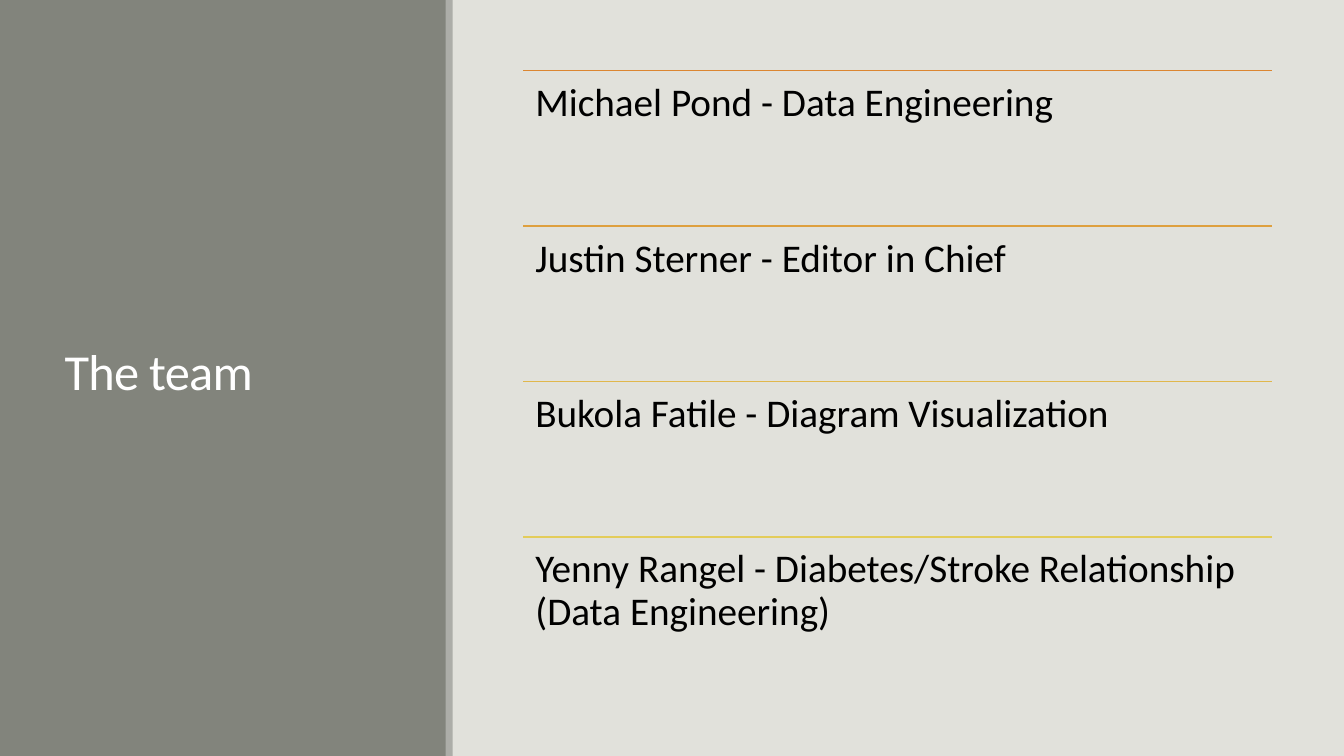
import pptx
import pptx.util
import pptx.dml.color
import pptx.enum.shapes
import pptx.enum.text
import pptx.oxml.ns
from lxml import etree
from pptx.util import Inches

TITLE = "The team"
MEMBERS = [
    ("Michael Pond - Data Engineering", "DB8631"),
    ("Justin Sterner - Editor in Chief", "DEA03F"),
    ("Bukola Fatile - Diagram Visualization", "E0B74C"),
    ("Yenny Rangel - Diabetes/Stroke Relationship (Data Engineering)", "E3CC5A"),
]
COLORS = {
    "background": "E1E1DB",
    "panel": "82847C",
    "panel_edge": "ACADA8",
    "title": "FFFFFF",
    "text": "000000",
}
FONT = "Calibri"
LIST_LEFT, LIST_TOP, LIST_WIDTH = 5.19, 0.7, 7.43
LIST_HEIGHT = 6.17
INSET = Inches(0.12)


def rgb(color):
    return pptx.dml.color.RGBColor.from_string(color)


def add_bar(slide, left, width, color):
    """Add a plain full-height rectangle."""
    bar = slide.shapes.add_shape(
        pptx.enum.shapes.MSO_SHAPE.RECTANGLE,
        Inches(left), 0, Inches(width), Inches(7.5))
    bar.shadow.inherit = False
    bar.fill.solid()
    bar.fill.fore_color.rgb = rgb(color)
    bar.line.fill.background()


def format_paragraph(paragraph, size, color, line_spacing):
    paragraph.alignment = pptx.enum.text.PP_ALIGN.LEFT
    paragraph.line_spacing = line_spacing
    for run in paragraph.runs:
        run.font.name = FONT
        run.font.size = pptx.util.Pt(size)
        run.font.color.rgb = rgb(color)


def add_title(slide):
    title = slide.shapes.title
    title.left, title.top = Inches(0.54), Inches(0.57)
    title.width, title.height = Inches(3.37), Inches(6.31)
    frame = title.text_frame
    frame.text = TITLE
    frame.word_wrap = True
    frame.vertical_anchor = pptx.enum.text.MSO_ANCHOR.MIDDLE
    paragraph = frame.paragraphs[0]
    format_paragraph(paragraph, 36, COLORS["title"], 0.85)
    paragraph.runs[0]._r.get_or_add_rPr().set("spc", "-50")
    # Bring the title in front of the side panel.
    slide.shapes._spTree.append(title._element)


def add_member(slide, top, height, text, line_color):
    left, width = Inches(LIST_LEFT), Inches(LIST_WIDTH)
    rule = slide.shapes.add_connector(
        pptx.enum.shapes.MSO_CONNECTOR.STRAIGHT,
        left, Inches(top), left + width, Inches(top))
    rule.line.color.rgb = rgb(line_color)
    rule.line.width = pptx.util.Pt(1.25)
    etree.SubElement(rule._element.spPr, pptx.oxml.ns.qn("a:effectLst"))

    box = slide.shapes.add_textbox(left, Inches(top), width, Inches(height))
    frame = box.text_frame
    frame.word_wrap = True
    frame.margin_left = frame.margin_right = INSET
    frame.margin_top = frame.margin_bottom = INSET
    frame.text = text
    format_paragraph(frame.paragraphs[0], 28, COLORS["text"], 0.9)


def main():
    presentation = pptx.Presentation()
    presentation.slide_width = Inches(13.33)
    presentation.slide_height = Inches(7.5)
    slide = presentation.slides.add_slide(presentation.slide_layouts[5])
    slide.background.fill.solid()
    slide.background.fill.fore_color.rgb = rgb(COLORS["background"])

    add_bar(slide, 0, 4.43, COLORS["panel"])
    add_title(slide)
    add_bar(slide, 4.42, 0.07, COLORS["panel_edge"])

    row_height = LIST_HEIGHT / len(MEMBERS)
    for index, (text, line_color) in enumerate(MEMBERS):
        add_member(slide, LIST_TOP + index * row_height, row_height, text, line_color)

    presentation.save("out.pptx")


if __name__ == "__main__":
    main()
